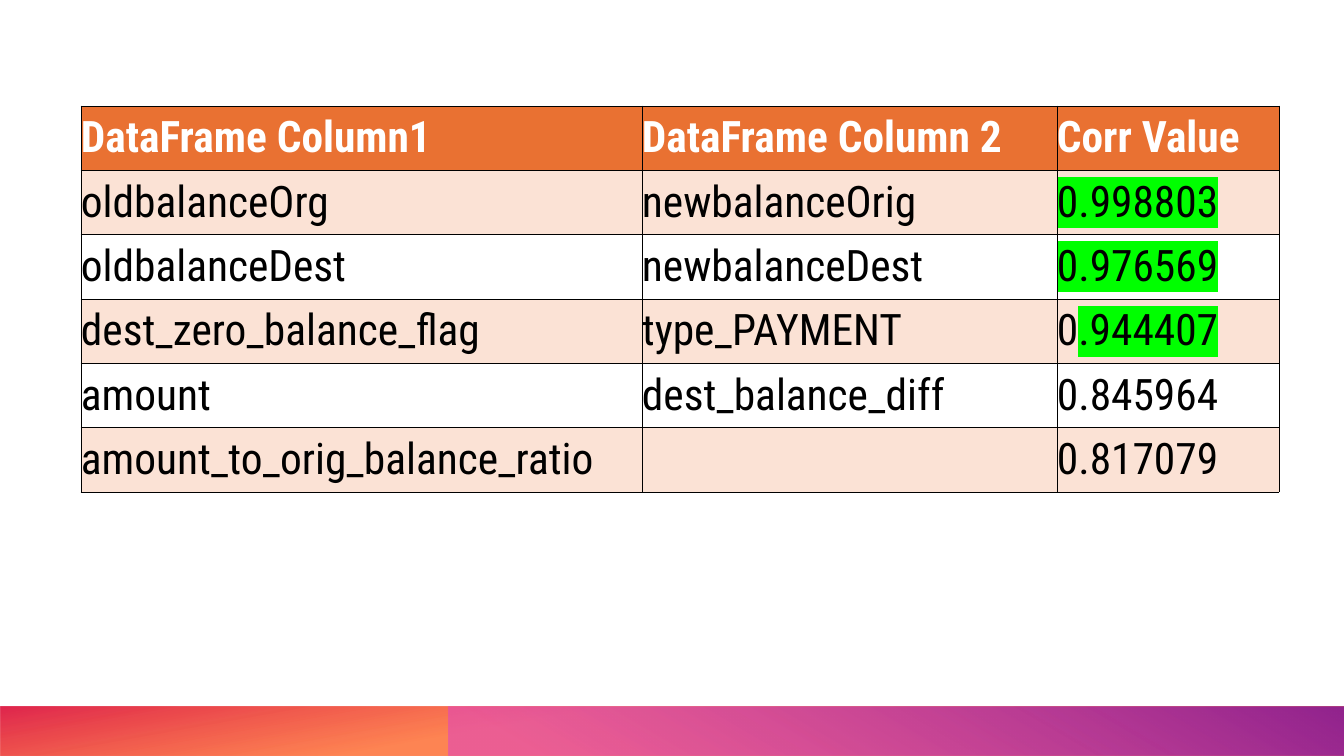
"""Build a slide with a table of strongly correlated DataFrame columns."""
from lxml import etree
from pptx import Presentation
from pptx.dml.color import RGBColor
from pptx.enum.shapes import MSO_SHAPE
from pptx.enum.text import MSO_ANCHOR
from pptx.oxml import parse_xml
from pptx.oxml.ns import nsdecls, qn
from pptx.util import Emu, Pt

RECTANGLE = MSO_SHAPE.RECTANGLE
MIDDLE = MSO_ANCHOR.MIDDLE
WHITE = RGBColor(0xFF, 0xFF, 0xFF)
BLACK = RGBColor(0x00, 0x00, 0x00)
ORANGE = RGBColor(0xE9, 0x71, 0x32)
PEACH = RGBColor(0xFB, 0xE2, 0xD5)
GREEN = RGBColor(0x00, 0xFF, 0x00)
FLAME = RGBColor(0xFE, 0x4A, 0x00)
CRIMSON = RGBColor(0xDA, 0x00, 0x2F)
PINK = RGBColor(0xE3, 0x49, 0xBB)
PURPLE = RGBColor(0x92, 0x24, 0x8E)
PX = 914400 / 100.8
SLIDE_WIDTH, SLIDE_HEIGHT = 1344, 756
FOOTER_TOP = 707


def px(length):
    return Emu(round(length * PX))


presentation = Presentation()
presentation.slide_width = px(SLIDE_WIDTH)
presentation.slide_height = px(SLIDE_HEIGHT)
slide = presentation.slides.add_slide(presentation.slide_layouts[6])

footer_bands = [
    (0, 180, 100, [(62, FLAME, 67), (100, CRIMSON, 85)]),
    (449, 0, 240, [(9, PINK, 62), (99, PURPLE, 100)]),
]
for left, rotation, angle, stops in footer_bands:
    band = slide.shapes.add_shape(
        RECTANGLE, px(left), px(FOOTER_TOP),
        px(SLIDE_WIDTH - left), px(SLIDE_HEIGHT - FOOTER_TOP))
    band.shadow.inherit = False
    band.line.fill.background()
    band.rotation = rotation
    transform = band.element.spPr.find(qn("a:xfrm"))
    transform.set("flipH", "1")
    stop_xml = "".join(
        f'<a:gs pos="{position * 1000}"><a:srgbClr val="{color}">'
        f'<a:alpha val="{opacity * 1000}"/></a:srgbClr></a:gs>'
        for position, color, opacity in stops)
    band.element.spPr.find(qn("a:prstGeom")).addnext(parse_xml(
        f'<a:gradFill {nsdecls("a")} rotWithShape="1"><a:gsLst>{stop_xml}</a:gsLst>'
        f'<a:lin ang="{angle * 60000}" scaled="0"/></a:gradFill>'))

rows = [
    ("DataFrame Column1", "DataFrame Column 2", "Corr Value"),
    ("oldbalanceOrg", "newbalanceOrig", "0.998803"),
    ("oldbalanceDest", "newbalanceDest", "0.976569"),
    ("dest_zero_balance_flag", "type_PAYMENT", "0.944407"),
    ("amount", "dest_balance_diff", "0.845964"),
    ("amount_to_orig_balance_ratio", "", "0.817079"),
]
highlight_starts = {"0.998803": 0, "0.976569": 0, "0.944407": 1}
column_widths = [561, 415, 222]
cell_format = {"margin_left": 0, "margin_top": 0, "margin_right": 0,
               "margin_bottom": 0, "vertical_anchor": MIDDLE}

table = slide.shapes.add_table(
    len(rows), len(column_widths), px(81), px(106),
    px(sum(column_widths)), px(386)).table
for column, width in zip(table.columns, column_widths):
    column.width = px(width)

for row_index, row in enumerate(rows):
    is_header = row_index == 0
    font_format = {"name": "Roboto Condensed", "size": Pt(31), "bold": is_header}
    for column_index, text in enumerate(row):
        cell = table.cell(row_index, column_index)
        for name, value in cell_format.items():
            setattr(cell, name, value)

        properties = cell._tc.get_or_add_tcPr()
        for side in ("lnL", "lnR", "lnT", "lnB"):
            properties.append(parse_xml(
                f'<a:{side} {nsdecls("a")} w="{Pt(0.5)}"><a:solidFill>'
                f'<a:srgbClr val="{BLACK}"/></a:solidFill></a:{side}>'))
        if is_header or row_index % 2:
            cell.fill.solid()
            cell.fill.fore_color.rgb = ORANGE if is_header else PEACH
        else:
            cell.fill.background()

        start = highlight_starts.get(text, len(text))
        for part, highlighted in ((text[:start], False), (text[start:], True)):
            if not part:
                continue
            run = cell.text_frame.paragraphs[0].add_run()
            run.text = part
            for name, value in font_format.items():
                setattr(run.font, name, value)
            run.font.color.rgb = WHITE if is_header else BLACK
            if highlighted:
                highlight = etree.Element(qn("a:highlight"))
                etree.SubElement(highlight, qn("a:srgbClr"), val=str(GREEN))
                run._r.rPr.find(qn("a:solidFill")).addnext(highlight)

presentation.save("out.pptx")
